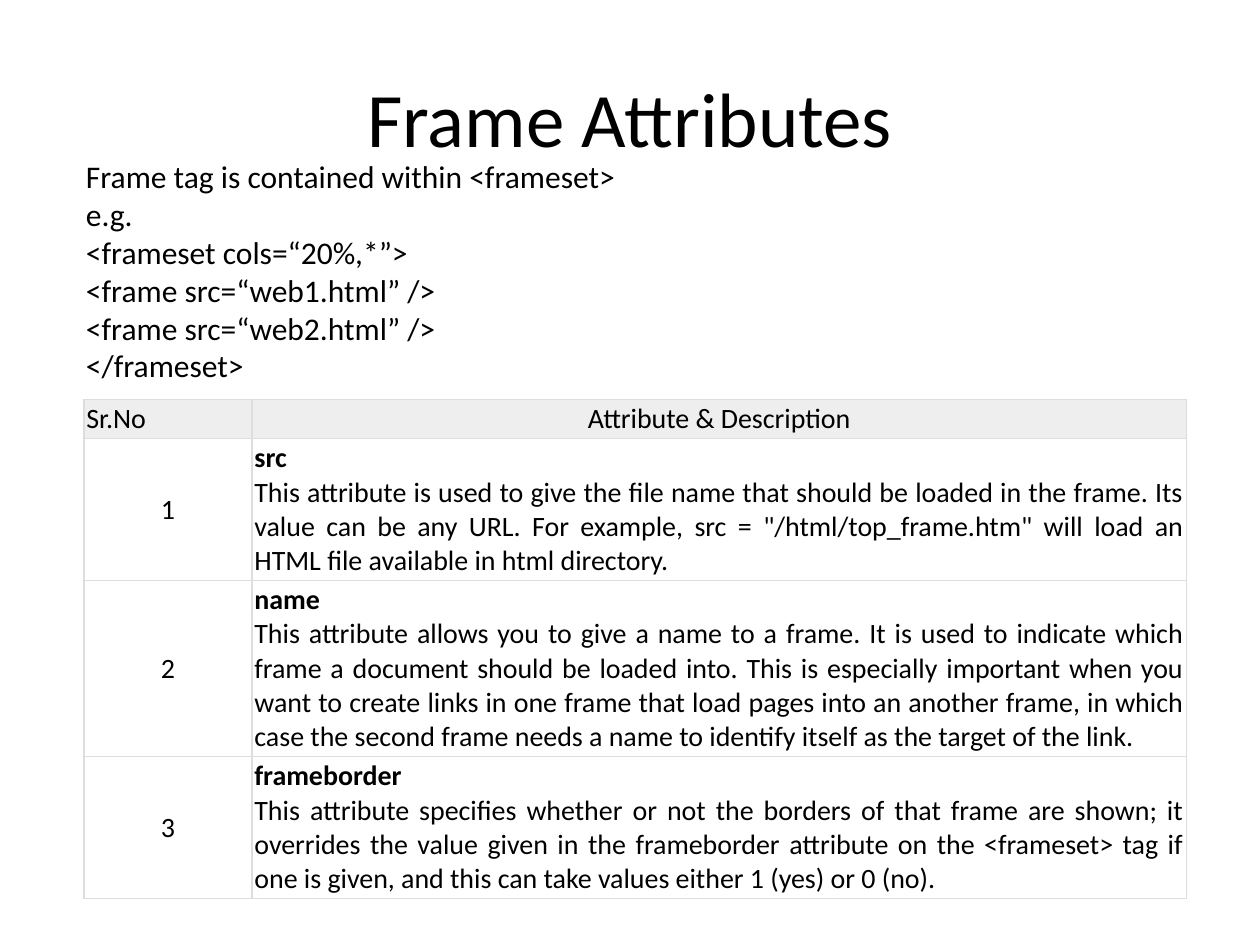
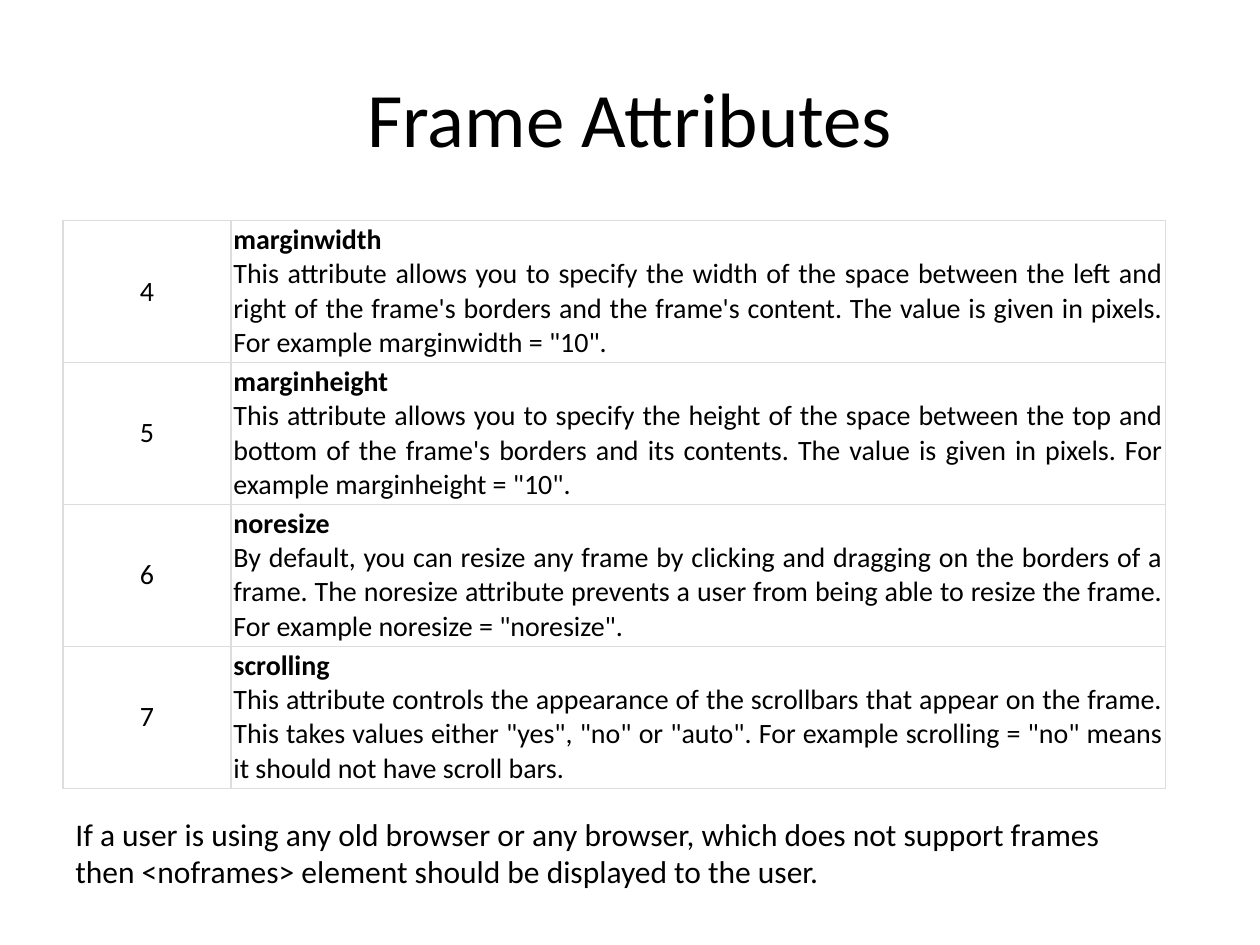
import pptx
import pptx.util
import pptx.dml.color
import pptx.enum.text
import pptx.oxml
import pptx.oxml.ns
from pptx.util import Pt

FONT = "Calibri"
BLACK, WHITE, HEADER_GREY, BORDER_GREY = "000000", "FFFFFF", "EEEEEE", "DDDDDD"
COLUMN_WIDTHS = (96, 534)
CELL_MARGIN = 1.44
LINE_HEIGHT = 19.53  # one line of 16 pt text
ALIGN = pptx.enum.text.PP_ALIGN
ANCHOR = pptx.enum.text.MSO_ANCHOR


def color(hex_string):
    return pptx.dml.color.RGBColor.from_string(hex_string)


def write(text_frame, lines, size, align=ALIGN.LEFT, bold_first=False):
    text_frame.text = "\n".join(lines)
    for index, paragraph in enumerate(text_frame.paragraphs):
        paragraph.alignment = align
        paragraph.font.name = FONT
        paragraph.font.size = Pt(size)
        paragraph.font.bold = bold_first and index == 0
        paragraph.font.color.rgb = color(BLACK)


# Content: each attribute has a name, a description and its number of lines
slides = [
    {
        "table_at": (48, 228.24),
        "header": ("Sr.No", "Attribute & Description"),
        "first_number": 1,
        "attributes": [
            ("src", "This attribute is used to give the file name that should be loaded "
             "in the frame. Its value can be any URL. For example, src = "
             "\"/html/top_frame.htm\" will load an HTML file available in html directory.", 4),
            ("name", "This attribute allows you to give a name to a frame. It is used to "
             "indicate which frame a document should be loaded into. This is especially "
             "important when you want to create links in one frame that load pages into an "
             "another frame, in which case the second frame needs a name to identify itself "
             "as the target of the link.", 5),
            ("frameborder", "This attribute specifies whether or not the borders of that "
             "frame are shown; it overrides the value given in the frameborder attribute on "
             "the <frameset> tag if one is given, and this can take values either 1 (yes) "
             "or 0 (no).", 4),
        ],
        "note_box": (42, 86.4, 636, 160),
        "note": ["Frame tag is contained within <frameset>", "e.g.",
                 "<frameset cols=“20%,*”>", "<frame src=“web1.html” />",
                 "<frame src=“web2.html” />", "</frameset>"],
    },
    {
        "table_at": (36, 126),
        "header": None,
        "first_number": 4,
        "attributes": [
            ("marginwidth", "This attribute allows you to specify the width of the space "
             "between the left and right of the frame's borders and the frame's content. "
             "The value is given in pixels. For example marginwidth = \"10\".", 4),
            ("marginheight", "This attribute allows you to specify the height of the space "
             "between the top and bottom of the frame's borders and its contents. The value "
             "is given in pixels. For example marginheight = \"10\".", 4),
            ("noresize", "By default, you can resize any frame by clicking and dragging on "
             "the borders of a frame. The noresize attribute prevents a user from being able "
             "to resize the frame. For example noresize = \"noresize\".", 4),
            ("scrolling", "This attribute controls the appearance of the scrollbars that "
             "appear on the frame. This takes values either \"yes\", \"no\" or \"auto\". For "
             "example scrolling = \"no\" means it should not have scroll bars.", 4),
        ],
        "note_box": (36, 462, 636, 51),
        "note": ["If a user is using any old browser or any browser, which does not support "
                 "frames then <noframes> element should be displayed to the user."],
    },
]

presentation = pptx.Presentation()
presentation.slide_width, presentation.slide_height = Pt(720), Pt(540)

for content in slides:
    slide = presentation.slides.add_slide(presentation.slide_layouts[5])

    # Title
    title = slide.shapes.title
    title.left, title.top, title.width, title.height = Pt(36), Pt(21.6), Pt(648), Pt(90)
    title.text_frame.vertical_anchor = ANCHOR.MIDDLE
    write(title.text_frame, ["Frame Attributes"], 44, ALIGN.CENTER)

    # Attribute table
    header_rows = 1 if content["header"] else 0
    line_counts = [1] * header_rows + [lines for _, _, lines in content["attributes"]]
    heights = [lines * LINE_HEIGHT + 2 * CELL_MARGIN for lines in line_counts]
    left, top = content["table_at"]
    table = slide.shapes.add_table(len(heights), 2, Pt(left), Pt(top),
                                   Pt(sum(COLUMN_WIDTHS)), Pt(sum(heights))).table
    table.first_row = table.horz_banding = False
    for column, width in zip(table.columns, COLUMN_WIDTHS):
        column.width = Pt(width)
    for row, height in zip(table.rows, heights):
        row.height = Pt(height)

    # Cell margins, borders and fills
    for index, row in enumerate(table.rows):
        for cell in row.cells:
            cell.margin_left = cell.margin_right = Pt(CELL_MARGIN)
            cell.margin_top = cell.margin_bottom = Pt(CELL_MARGIN)
            properties = cell._tc.get_or_add_tcPr()
            for side in ("lnL", "lnR", "lnT", "lnB"):
                properties.append(pptx.oxml.parse_xml(
                    f'<a:{side} {pptx.oxml.ns.nsdecls("a")} w="{Pt(0.75)}"><a:solidFill>'
                    f'<a:srgbClr val="{BORDER_GREY}"/></a:solidFill></a:{side}>'))
            cell.fill.solid()
            cell.fill.fore_color.rgb = color(HEADER_GREY if index < header_rows else WHITE)

    # Cell text
    if content["header"]:
        for column, align in enumerate((ALIGN.LEFT, ALIGN.CENTER)):
            write(table.cell(0, column).text_frame, [content["header"][column]], 16, align)
    for index, (name, description, _) in enumerate(content["attributes"]):
        number_cell, text_cell = table.rows[index + header_rows].cells
        number_cell.vertical_anchor = ANCHOR.MIDDLE
        write(number_cell.text_frame, [str(content["first_number"] + index)], 16, ALIGN.CENTER)
        write(text_cell.text_frame, [name, description], 16, ALIGN.JUSTIFY, bold_first=True)

    # Note
    note = slide.shapes.add_textbox(*[Pt(length) for length in content["note_box"]])
    note.text_frame.word_wrap = True
    write(note.text_frame, content["note"], 18)

presentation.save("out.pptx")
